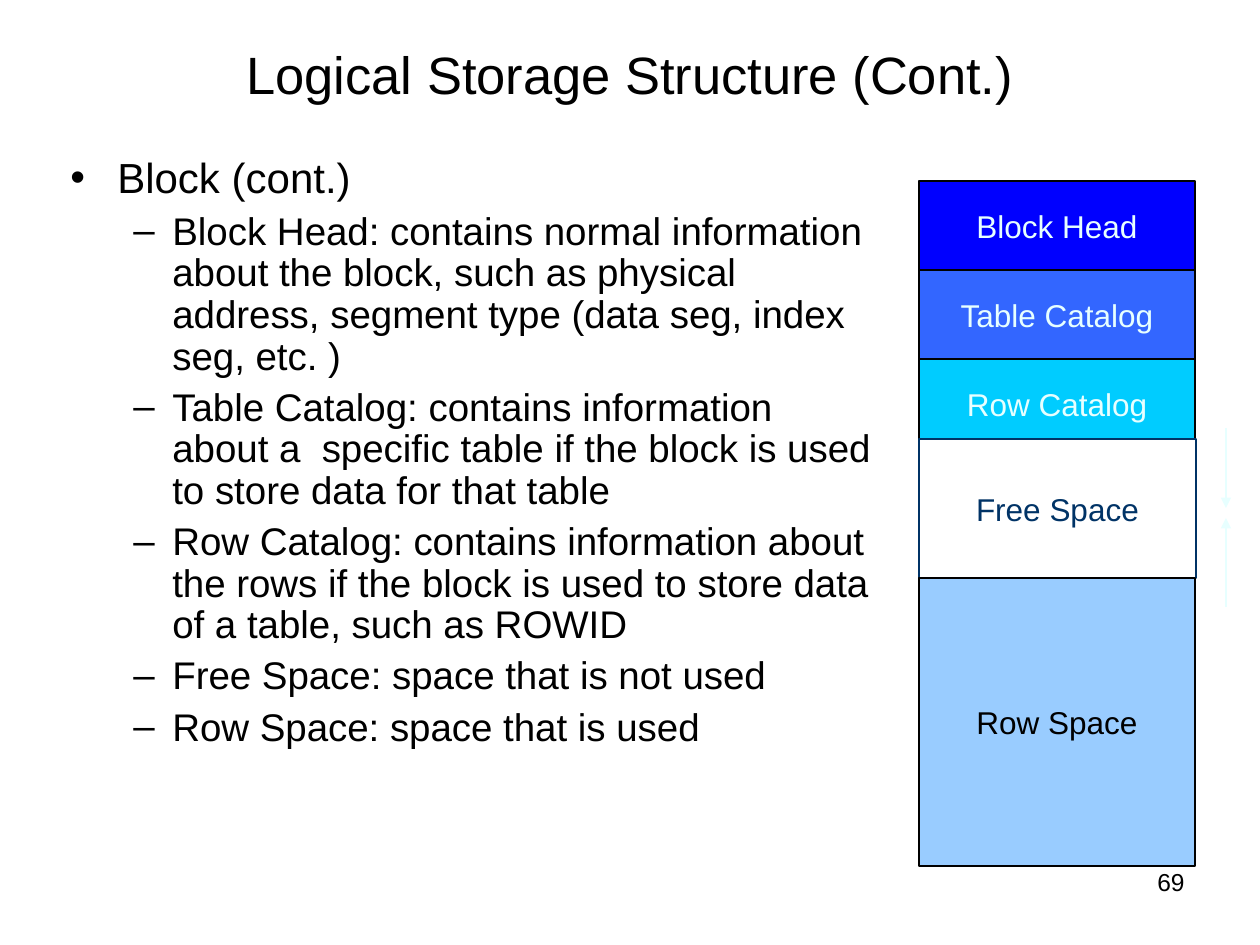
from pptx import Presentation
from pptx.dml.color import RGBColor
from pptx.enum.shapes import MSO_CONNECTOR as Connector, MSO_SHAPE as Shape
from pptx.enum.text import MSO_ANCHOR as Anchor, PP_ALIGN as Align
from pptx.oxml.ns import qn
from pptx.util import Pt
from lxml import etree

SCALE = 914400 / 126


def px(*lengths):
    return [round(length * SCALE) for length in lengths]


def style(paragraph, text, size, color="000000", align=Align.LEFT):
    paragraph.text = text
    paragraph.alignment = align
    paragraph.font.name = "Arial"
    paragraph.font.size = Pt(size)
    paragraph.font.color.rgb = RGBColor.from_string(color)


presentation = Presentation()
presentation.slide_width, presentation.slide_height = px(1260, 945)
slide = presentation.slides.add_slide(presentation.slide_layouts[6])
shapes = slide.shapes

labels = [
    ("69", 14, Align.RIGHT, Anchor.TOP, (904, 861, 293, 65)),
    ("Logical Storage Structure (Cont.)", 30, Align.CENTER, Anchor.MIDDLE, (63, 21, 1134, 105)),
]
for text, size, align, anchor, box in labels:
    frame = shapes.add_textbox(*px(*box)).text_frame
    frame.word_wrap = True
    frame.vertical_anchor = anchor
    style(frame.paragraphs[0], text, size, align=align)

body = shapes.add_textbox(*px(58, 151, 830, 675)).text_frame
body.word_wrap = True
points = [
    (0, "Block (cont.)"),
    (1, "Block Head: contains normal information about the block, such as physical address, segment type (data seg, index seg, etc. )"),
    (1, "Table Catalog: contains information about a  specific table if the block is used to store data for that table"),
    (1, "Row Catalog: contains information about the rows if the block is used to store data of a table, such as ROWID"),
    (1, "Free Space: space that is not used"),
    (1, "Row Space: space that is used"),
]
levels = [("•", 24, 47, -47), ("–", 22, 102, -39)]
for index, (level, text) in enumerate(points):
    paragraph = body.add_paragraph() if index else body.paragraphs[0]
    bullet, size, margin, indent = levels[level]
    paragraph.level = level
    paragraph.line_spacing = 0.9
    if index:
        paragraph.space_before = Pt(5.5)
    properties = paragraph._p.get_or_add_pPr()
    for name, value in zip(("marL", "indent"), px(margin, indent)):
        properties.set(name, str(value))
    etree.SubElement(properties, qn("a:buFont"), typeface="Arial")
    etree.SubElement(properties, qn("a:buChar"), char=bullet)
    style(paragraph, text, size)

blocks = [
    ("Block Head", "0000FF", "000000", "E7FFFF", (919, 181, 276, 89)),
    ("Table Catalog", "3366FF", "000000", "E7FFFF", (919, 270, 276, 89)),
    ("Row Catalog", "00CCFF", "000000", "E7FFFF", (919, 359, 276, 89)),
    ("Free Space", "FFFFFF", "003366", "003366", (919, 439, 277, 139)),
    ("Row Space", "99CCFF", "000000", "000000", (919, 578, 276, 288)),
]
for text, fill, line, color, box in blocks:
    block = shapes.add_shape(Shape.RECTANGLE, *px(*box))
    block.shadow.inherit = False
    block.fill.solid()
    block.fill.fore_color.rgb = RGBColor.from_string(fill)
    block.line.color.rgb = RGBColor.from_string(line)
    block.line.width = Pt(0.75)
    block.text_frame.word_wrap = False
    block.text_frame.vertical_anchor = Anchor.MIDDLE
    style(block.text_frame.paragraphs[0], text, 18, color, Align.CENTER)

for start, end in [(428, 508), (607, 518)]:
    arrow = shapes.add_connector(Connector.STRAIGHT, *px(1226, start, 1226, end))
    arrow.line.color.rgb = RGBColor.from_string("E7FFFF")
    arrow.line.width = Pt(1.5)
    etree.SubElement(arrow.line._get_or_add_ln(), qn("a:tailEnd"), type="triangle")
    etree.SubElement(arrow._element.spPr, qn("a:effectLst"))

presentation.save("out.pptx")
